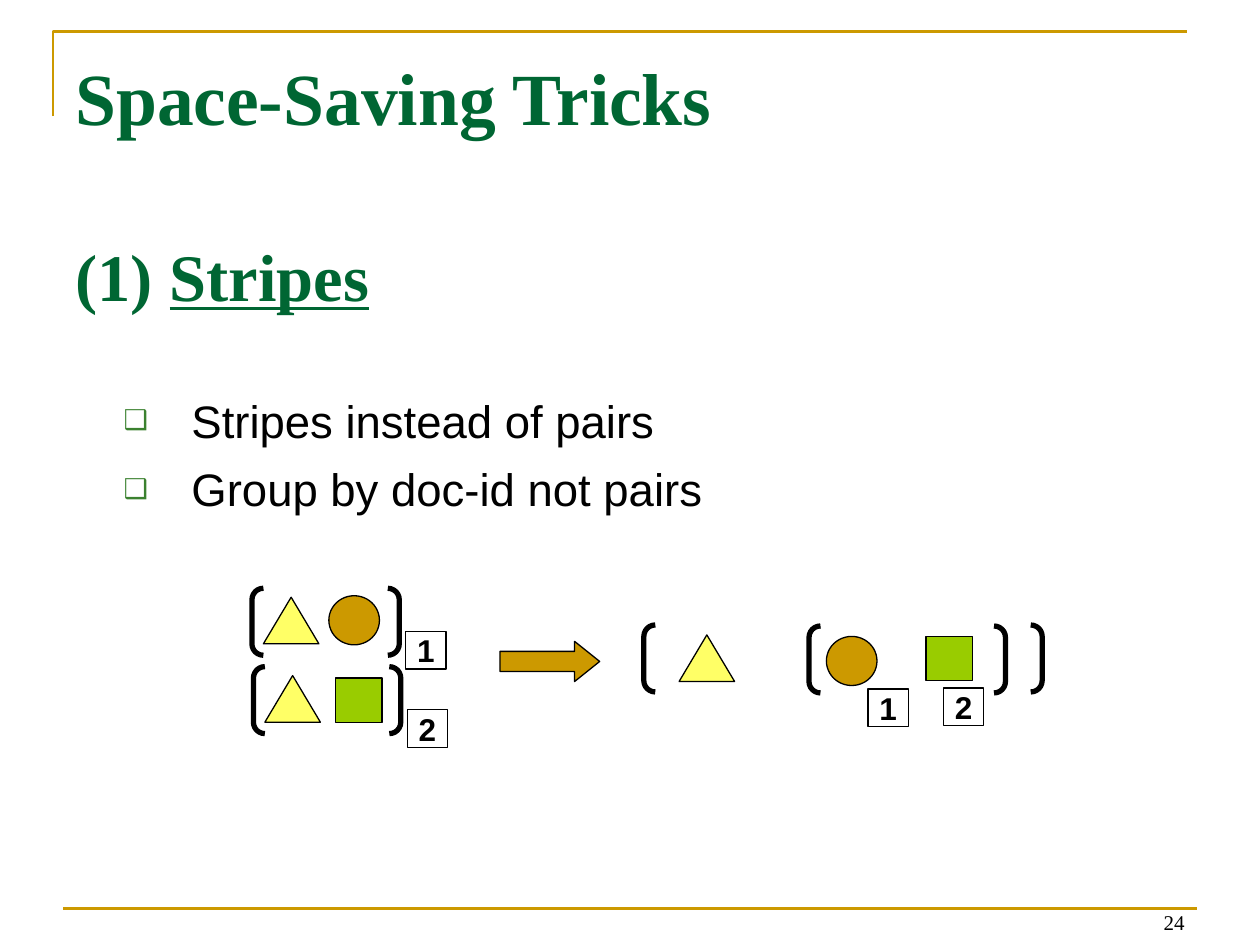
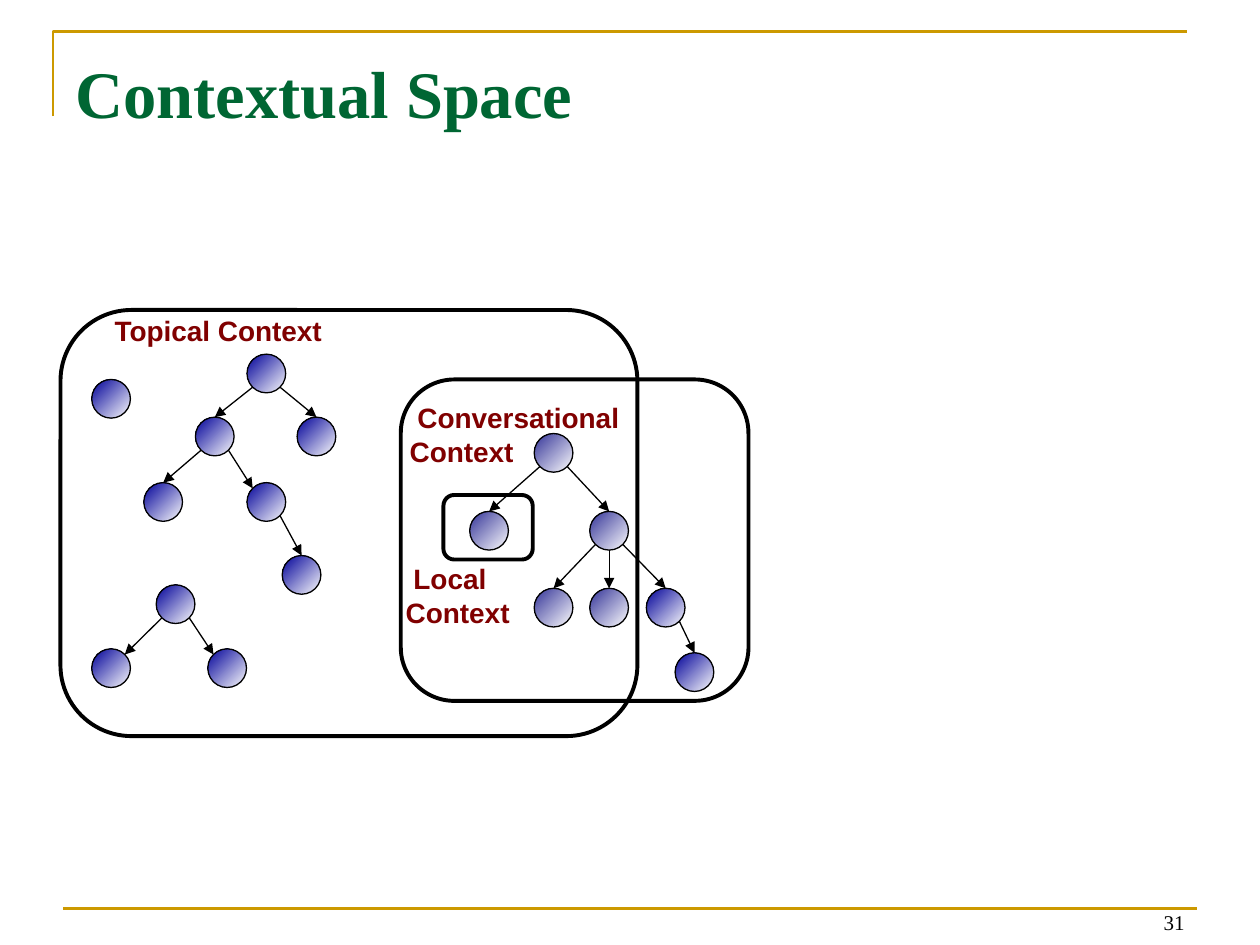
"""Builds two lecture slides: the stripes trick and the contextual space of messages."""
from math import sqrt

from lxml.etree import SubElement
from pptx import Presentation
from pptx.dml.color import RGBColor
from pptx.enum.shapes import MSO_CONNECTOR as Link, MSO_SHAPE as Kind
from pptx.enum.text import MSO_ANCHOR as Anchor, MSO_AUTO_SIZE as Fit, PP_ALIGN as Align
from pptx.oxml.ns import qn
from pptx.util import Cm, Pt

COLORS = {"gold": "CC9900", "green": "006633", "bullet": "3B812F", "black": "000000",
          "white": "FFFFFF", "yellow": "FFFF66", "lime": "99CC00", "maroon": "800000",
          "navy": "000099", "indigo": "333399"}

SERIF, SANS = "Times New Roman", "Arial"
TITLE_AREA = (1.27, 0.76, 22.86, 3.18)
BODY_AREA = (1.27, 4.45, 22.86, 12.6)
NUMBER_AREA = (18.21, 17.7, 5.92, 1.27)
CORNER = [(1.07, 2.34), (1.07, 0.64), (23.93, 0.64)]
FOOT_LINE = ((1.27, 18.31), (24.13, 18.31))
HEADING_INSETS = (0.25, 0.28, 0.25, 0.13)

STRIPES = {"title": "Space-Saving Tricks", "size": 42, "number": "24",
           "heading": ("(1) ", "Stripes"),
           "bullets": [("Stripes instead of pairs", 45), ("Group by doc-id not pairs", 7.8)]}
CONTEXT = {"title": "Contextual Space", "size": 38, "number": "31"}

SYMBOLS = {"triangle": (Kind.ISOSCELES_TRIANGLE, 1.12, 0.94, "yellow"),
           "circle": (Kind.OVAL, 1.02, 0.99, "gold"),
           "square": (Kind.RECTANGLE, 0.94, 0.89, "lime"),
           "arrow": (Kind.RIGHT_ARROW, 2.01, 0.81, "gold")}
PAIRS = [("1", 5.08, 11.86, "circle", 1.55, 0.15),
         ("2", 5.11, 13.44, "square", 1.65, 0.23)]
STRIPE_BRACKETS = [(12.98, 12.6, 8.03), (16.31, 12.62, 3.96)]
STRIPE_SYMBOLS = [("arrow", 10.08, 12.93), ("triangle", 13.69, 12.8),
                  ("circle", 16.66, 12.83), ("square", 18.67, 12.83)]
STRIPE_BADGES = [("1", 17.5, 13.89), ("2", 19.02, 13.87)]

NODE_SIZE = 0.78
NODES = {
    "single": (1.85, 7.65, "navy"),
    "root": (4.98, 7.14, "navy"), "left": (3.94, 8.41, "navy"),
    "right": (5.99, 8.41, "navy"), "left-left": (2.9, 9.73, "navy"),
    "left-right": (4.98, 9.73, "navy"), "deepest": (5.69, 11.2, "navy"),
    "small root": (3.15, 11.79, "navy"), "small left": (1.85, 13.08, "navy"),
    "small right": (4.19, 13.08, "navy"),
    "talk": (10.77, 8.74, "indigo"), "local": (9.47, 10.31, "indigo"),
    "reply": (11.89, 10.31, "indigo"), "reply 1": (10.77, 11.86, "indigo"),
    "reply 2": (11.89, 11.86, "indigo"), "reply 3": (13.03, 11.86, "navy"),
    "answer": (13.61, 13.16, "navy")}
DIAGONAL = 1 / sqrt(2)
SITES = {"top": (0, -1), "bottom": (0, 1),
         "lower left": (-DIAGONAL, DIAGONAL), "lower right": (DIAGONAL, DIAGONAL),
         "upper left": (-DIAGONAL, -DIAGONAL), "upper right": (DIAGONAL, -DIAGONAL)}
EDGES = [("root", "lower left", "left", "top"),
         ("root", "lower right", "right", "top"),
         ("left", "lower left", "left-left", "top"),
         ("left", "lower right", "left-right", "upper left"),
         ("left-right", "lower right", "deepest", "top"),
         ("small root", "lower left", "small left", "upper right"),
         ("small root", "lower right", "small right", "upper left"),
         ("talk", "lower left", "local", "top"),
         ("talk", "lower right", "reply", "top"),
         ("reply", "lower left", "reply 1", "top"),
         ("reply", "bottom", "reply 2", "top"),
         ("reply", "lower right", "reply 3", "top"),
         ("reply 3", "lower right", "answer", "top")]
REGIONS = [(8.94, 9.98, 1.8, 1.3), (8.08, 7.65, 7.01, 6.48), (1.22, 6.25, 11.63, 8.59)]
LABELS = [((" Local", "Context"), (8.18, 11.25, 2.39, 1.55), 0),
          ((" Conversational", "Context"), (8.08, 8, 6.73, 0.94), 0.18),
          (("Topical Context",), (2.13, 6.25, 5.44, 0.94), 0.18)]


def rgb(name):
    return RGBColor.from_string(COLORS[name])


def lengths(values):
    return [Cm(value) for value in values]


def assign(target, values):
    for name, value in values.items():
        setattr(target, name, value)


def style(font, name, size, color, **values):
    assign(font, {"name": name, "size": Pt(size), **values})
    font.color.rgb = rgb(color)


def set_frame(frame, insets, anchor=Anchor.TOP, wrap=True):
    sides = ("margin_left", "margin_top", "margin_right", "margin_bottom")
    assign(frame, {"word_wrap": wrap, "auto_size": Fit.NONE, "vertical_anchor": anchor,
                   **dict(zip(sides, lengths(insets)))})


def place(shape, area):
    assign(shape, dict(zip(("left", "top", "width", "height"), lengths(area))))


def outline(shape, color, width):
    shape.line.color.rgb = rgb(color)
    shape.line.width = Pt(width)


def add_figure(page, kind, area, fill=None, width=0.75):
    figure = page.shapes.add_shape(kind, *lengths(area))
    figure.shadow.inherit = False
    if fill:
        figure.fill.solid()
        figure.fill.fore_color.rgb = rgb(fill)
    else:
        figure.fill.background()
    outline(figure, "black", width)
    return figure


def add_line(page, start, end, color="black", width=0.75, arrow=False):
    line = page.shapes.add_connector(Link.STRAIGHT, *lengths((*start, *end)))
    outline(line, color, width)
    properties = line.element.spPr
    if arrow:
        SubElement(properties.find(qn("a:ln")), qn("a:tailEnd"), type="triangle")
    SubElement(properties, qn("a:effectLst"))
    return line


def add_page(deck, layout, content):
    page = deck.slides.add_slide(deck.slide_layouts[layout])
    builder = page.shapes.build_freeform(*lengths(CORNER[0]))
    builder.add_line_segments([lengths(point) for point in CORNER[1:]], close=False)
    corner = builder.convert_to_shape()
    corner.shadow.inherit = False
    corner.fill.background()
    outline(corner, "gold", 1.5)
    add_line(page, *FOOT_LINE, color="gold", width=1.5)

    title = page.shapes.title
    place(title, TITLE_AREA)
    set_frame(title.text_frame, HEADING_INSETS)
    para = title.text_frame.paragraphs[0]
    para.text, para.alignment = content["title"], Align.LEFT
    style(para.font, SERIF, content["size"], "green", bold=True)

    number = page.shapes.add_textbox(*lengths(NUMBER_AREA))
    set_frame(number.text_frame, (0.25, 0.13, 0.25, 0.13), Anchor.BOTTOM)
    para = number.text_frame.paragraphs[0]
    para.text, para.alignment = content["number"], Align.RIGHT
    style(para.font, SERIF, 12, "black")
    return page


def set_bullet(para, margin, indent, symbol=None):
    properties = para._p.get_or_add_pPr()
    properties.set("marL", str(Cm(margin)))
    properties.set("indent", str(Cm(indent)))
    if symbol:
        color = SubElement(properties, qn("a:buClr"))
        SubElement(color, qn("a:srgbClr"), val=COLORS["bullet"])
        SubElement(properties, qn("a:buSzPct"), val="60000")
        SubElement(properties, qn("a:buChar"), char=symbol)
    else:
        SubElement(properties, qn("a:buNone"))


def fill_body(body, content):
    place(body, BODY_AREA)
    frame = body.text_frame
    set_frame(frame, HEADING_INSETS)
    para = frame.paragraphs[0]
    para.space_before = Pt(0)
    set_bullet(para, 1.6, -1.6)
    for text, underline in zip(content["heading"], (False, True)):
        span = para.add_run()
        span.text = text
        style(span.font, SERIF, 38, "green", bold=True, underline=underline)
    for text, space in content["bullets"]:
        para = frame.add_paragraph()
        assign(para, {"text": text, "level": 1, "space_before": Pt(space)})
        set_bullet(para, 2.34, -1.37, "❑")
        style(para.font, SANS, 26, "black")


def add_symbol(page, name, left, top):
    kind, width, height, fill = SYMBOLS[name]
    symbol = add_figure(page, kind, (left, top, width, height), fill)
    if name == "arrow":
        symbol.adjustments[1] = 0.625


def add_brackets(page, left, top, width):
    brackets = add_figure(page, Kind.DOUBLE_BRACKET, (left, top, width, 1.35), width=3)
    brackets.adjustments[0] = 0.171


def add_badge(page, text, left, top):
    badge = add_figure(page, Kind.RECTANGLE, (left, top, 0.81, 0.76), "white")
    set_frame(badge.text_frame, (0, 0, 0, 0), Anchor.MIDDLE, wrap=False)
    para = badge.text_frame.paragraphs[0]
    para.text, para.alignment = text, Align.CENTER
    style(para.font, SANS, 18, "black", bold=True)


def build_stripes(deck):
    page = add_page(deck, 1, STRIPES)
    fill_body(page.placeholders[1], STRIPES)
    for number, left, top, partner, across, down in PAIRS:
        add_badge(page, number, left + 3.1, top + 0.87)
        add_brackets(page, left, top, 2.97)
        add_symbol(page, "triangle", left + 0.23, top + 0.18)
        add_symbol(page, partner, left + across, top + down)
    for add, items in ((add_brackets, STRIPE_BRACKETS), (add_symbol, STRIPE_SYMBOLS),
                       (add_badge, STRIPE_BADGES)):
        for item in items:
            add(page, *item)


def add_node(page, left, top, color):
    node = add_figure(page, Kind.OVAL, (left, top, NODE_SIZE, NODE_SIZE))
    node.fill.gradient()
    node.fill.gradient_angle = 135
    for stop, name in zip(node.fill.gradient_stops, ("white", color)):
        stop.color.rgb = rgb(name)
    return node


def site_point(name, site):
    radius = NODE_SIZE / 2
    return [corner + radius * (1 + shift)
            for corner, shift in zip(NODES[name][:2], SITES[site])]


def add_label(page, lines, area, inset):
    label = page.shapes.add_textbox(*lengths(area))
    set_frame(label.text_frame, (inset, 0.08, inset, 0.08))
    para = label.text_frame.paragraphs[0]
    for index, text in enumerate(lines):
        if index:
            para.add_line_break()
        span = para.add_run()
        span.text = text
        style(span.font, SANS, 16, "maroon", bold=True)


def build_context(deck):
    page = add_page(deck, 5, CONTEXT)
    for area in REGIONS:
        add_figure(page, Kind.ROUNDED_RECTANGLE, area, width=2.25)
    nodes = {name: add_node(page, *values) for name, values in NODES.items()}
    for parent, start, child, end in EDGES:
        line = add_line(page, site_point(parent, start), site_point(child, end), arrow=True)
        if end == "top":
            line.end_connect(nodes[child], 0)
    for label in LABELS:
        add_label(page, *label)


def main():
    deck = Presentation()
    deck.slide_width, deck.slide_height = Cm(25.4), Cm(19.05)
    build_stripes(deck)
    build_context(deck)
    deck.save("out.pptx")


if __name__ == "__main__":
    main()
